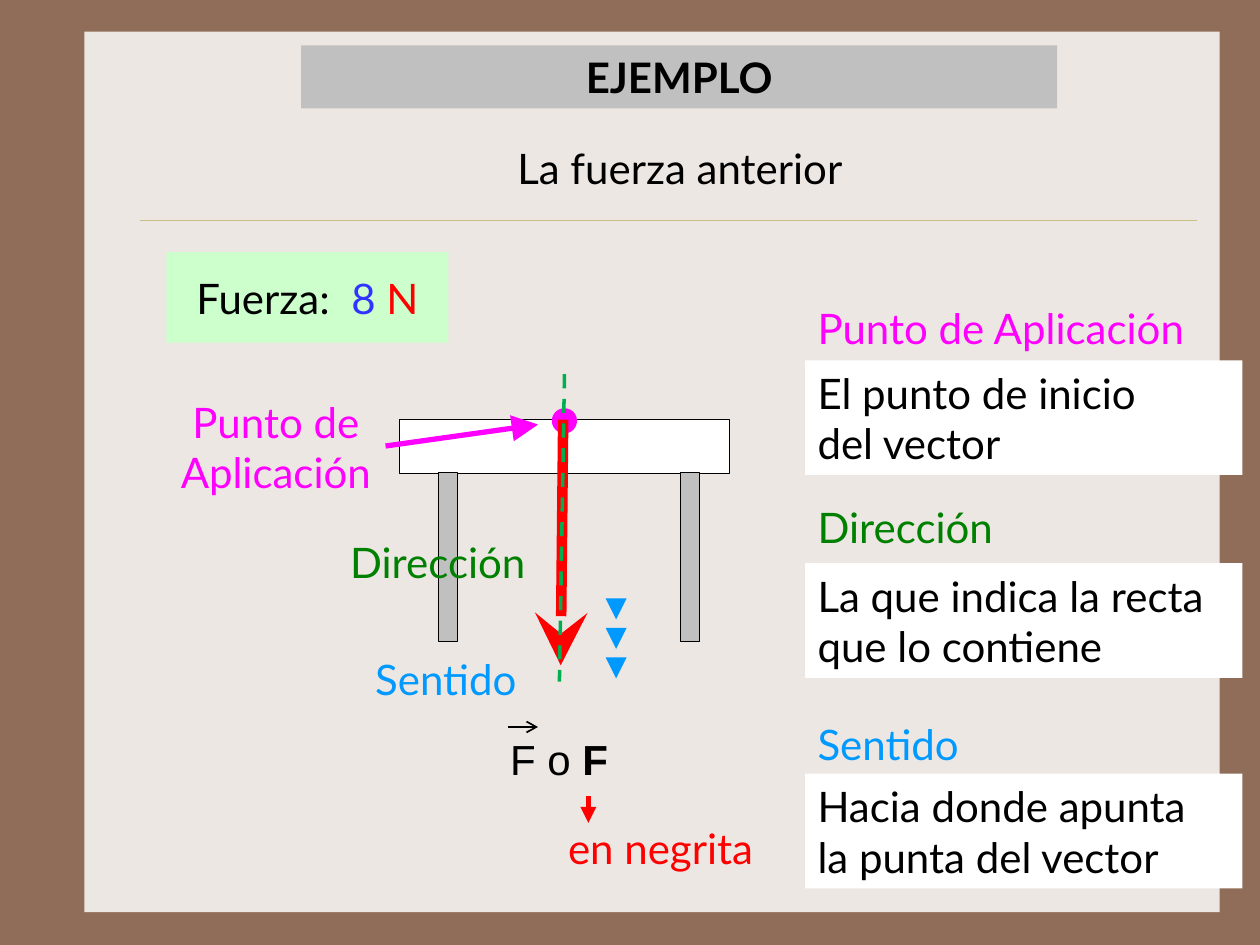
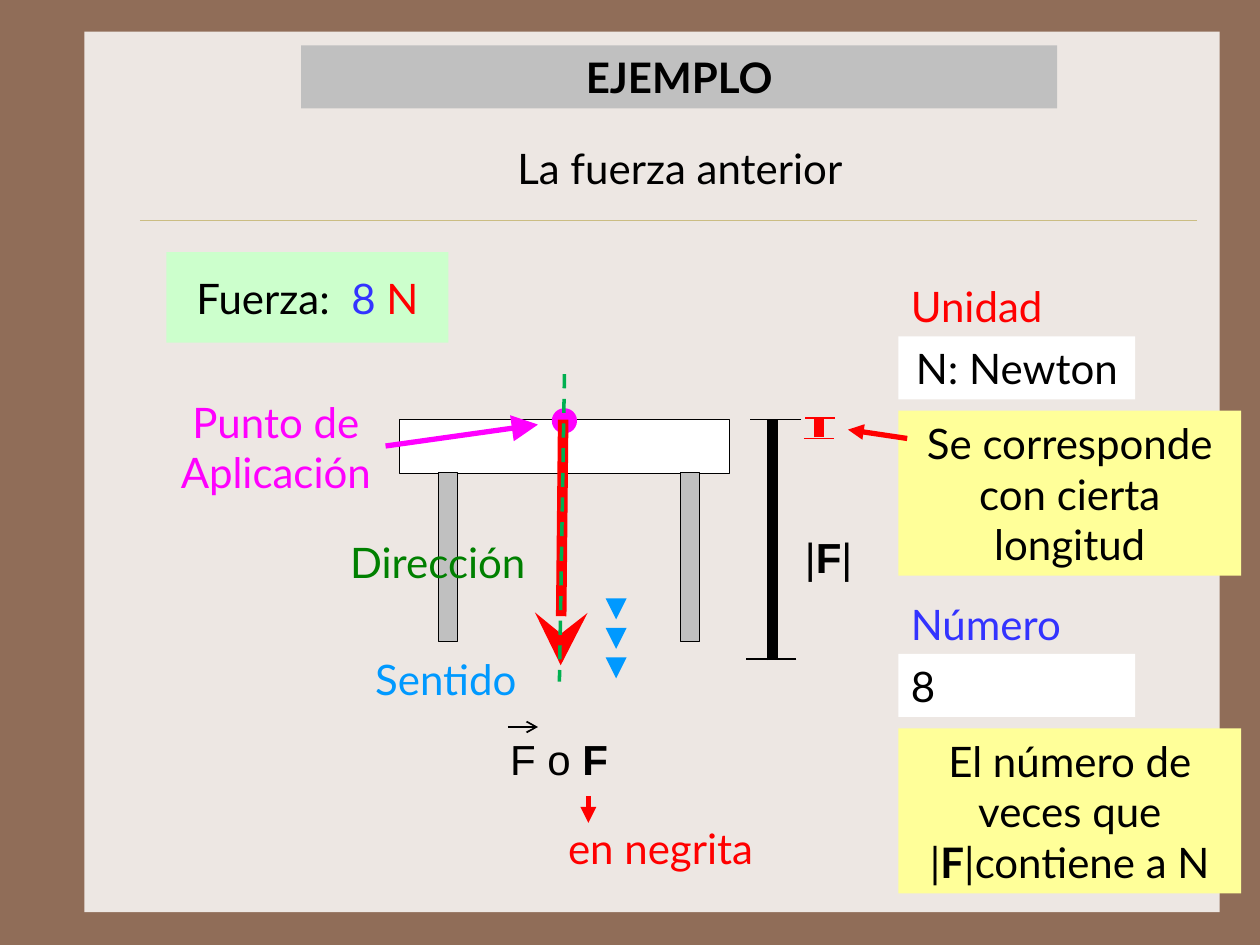
from lxml.etree import SubElement
from pptx import Presentation
from pptx.dml.color import RGBColor
from pptx.enum.dml import MSO_LINE
from pptx.enum.shapes import MSO_CONNECTOR, MSO_SHAPE
from pptx.enum.text import MSO_ANCHOR, MSO_AUTO_SIZE, PP_ALIGN
from pptx.oxml.ns import qn
from pptx.util import Inches, Pt

COLORS = {
    "frame": "906D58", "panel": "EDE7E3", "rule": "CBBD83",
    "black": "000000", "white": "FFFFFF", "gray": "C0C0C0",
    "magenta": "FF00FF", "red": "FF0000", "green": "008000",
    "axis": "00B050", "sky": "0099FF", "blue": "3333FF",
    "mint": "CCFFCC", "yellow": "FFFF99",
}
RGB = {name: RGBColor.from_string(value) for name, value in COLORS.items()}
LEFT, CENTER = PP_ALIGN.LEFT, PP_ALIGN.CENTER


def add_box(slide, place, paragraphs=(), fill=None, outline=None, align=LEFT,
            font="Lato", wrap=True, kind=MSO_SHAPE.RECTANGLE):
    """Add a box; each paragraph is a list of (text, color, bold) runs."""
    bounds = [Inches(value) for value in place]
    if fill:
        box = slide.shapes.add_shape(kind, *bounds)
        box.shadow.inherit = False
        box.fill.solid()
        box.fill.fore_color.rgb = RGB[fill]
        if outline:
            box.line.color.rgb = RGB[outline]
            box.line.width = Pt(0.75)
        else:
            box.line.fill.background()
    else:
        box = slide.shapes.add_textbox(*bounds)
    frame = box.text_frame
    frame.word_wrap = wrap
    frame.vertical_anchor = MSO_ANCHOR.MIDDLE
    for index, runs in enumerate(paragraphs):
        paragraph = frame.add_paragraph() if index else frame.paragraphs[0]
        paragraph.alignment = align
        for text, color, bold in runs:
            run = paragraph.add_run()
            run.text = text
            run.font.name = font
            run.font.size = Pt(24)
            run.font.bold = bold
            run.font.color.rgb = RGB[color]


def add_line(slide, start, end, color, width, head=None, head_size="med", dash=None):
    line = slide.shapes.add_connector(
        MSO_CONNECTOR.STRAIGHT, *[Inches(value) for value in (*start, *end)])
    line.line.color.rgb = RGB[color]
    line.line.width = Pt(width)
    if dash:
        line.line.dash_style = dash
    if head:
        SubElement(line.line._get_or_add_ln(), qn("a:tailEnd"),
                   type=head, w=head_size, len=head_size)
    SubElement(line._element.spPr, qn("a:effectLst"))


prs = Presentation()
prs.slide_width, prs.slide_height = Inches(10), Inches(7.5)
background = prs.slide_master.background.fill
background.solid()
background.fore_color.rgb = RGB["frame"]
title_only = prs.slide_layouts[5]
vector_slide, modulus_slide = [prs.slides.add_slide(title_only) for _ in range(2)]

# Shared on both slides
for slide in (vector_slide, modulus_slide):
    # Panel and rule
    add_box(slide, (0.67, 0.25, 9.01, 6.99), fill="panel")
    add_line(slide, (1.11, 1.75), (9.5, 1.75), "rule", 0.25)

    # Title band, brought in front of the panel
    title = slide.shapes.title
    slide.shapes._spTree.append(title._element)
    title.left, title.top = Inches(2.39), Inches(0.36)
    title.width, title.height = Inches(6), Inches(0.5)
    title.fill.solid()
    title.fill.fore_color.rgb = RGB["gray"]
    title.text_frame.auto_size = MSO_AUTO_SIZE.NONE
    title.text_frame.vertical_anchor = MSO_ANCHOR.MIDDLE
    heading = title.text_frame.paragraphs[0]
    heading.alignment = CENTER
    word = heading.add_run()
    word.text = "EJEMPLO"
    word.font.name, word.font.size, word.font.bold = "Lato", Pt(24), True
    word.font.color.rgb = RGB["black"]
    add_box(slide, (3.84, 1.08, 3.11, 0.5),
            [[("La fuerza anterior", "black", False)]], align=CENTER)

    # Force value
    add_box(slide, (1.32, 2, 2.24, 0.72),
            [[("Fuerza: ", "black", False), (" 8 ", "blue", False),
              ("N", "red", False)]], fill="mint", align=CENTER)

    # Table
    add_box(slide, (3.17, 3.33, 2.62, 0.43), fill="white", outline="black")
    for leg_left in (3.48, 5.4):
        add_box(slide, (leg_left, 3.75, 0.15, 1.34), fill="gray", outline="black")

    # Application point
    add_box(slide, (4.38, 3.24, 0.2, 0.2), fill="magenta", kind=MSO_SHAPE.OVAL)
    add_box(slide, (1.31, 3.09, 1.76, 0.91),
            [[("Punto de", "magenta", False)], [("Aplicación", "magenta", False)]],
            align=CENTER, wrap=False)
    add_line(slide, (3.06, 3.54), (4.27, 3.37), "magenta", 3, "triangle", "lg")

    # Force vector, its direction and its sense
    add_line(slide, (4.47, 3.33), (4.45, 5.28), "red", 6, "stealth", "lg")
    add_box(slide, (2.68, 4.21, 1.61, 0.5), [[("Dirección", "green", False)]],
            wrap=False)
    add_line(slide, (4.48, 2.97), (4.44, 5.41), "axis", 2, dash=MSO_LINE.DASH)
    add_box(slide, (2.88, 5.14, 1.33, 0.5), [[("Sentido", "sky", False)]],
            wrap=False)
    for step in range(3):
        top = 4.76 + 0.235 * step
        add_line(slide, (4.89, top), (4.89, top + 0.155), "sky", 4, "triangle")

    # Vector notation
    add_box(slide, (3.95, 5.77, 1.3, 0.5),
            [[("F o ", "black", False), ("F", "black", True)]], font="Arial")
    add_line(slide, (4.03, 5.77), (4.27, 5.77), "black", 1, "arrow")
    add_line(slide, (4.67, 6.32), (4.67, 6.53), "red", 3, "triangle")
    add_box(slide, (4.41, 6.48, 1.75, 0.5), [[("en negrita", "red", False)]],
            wrap=False)

# Slide 1: definitions of point, direction and sense
definitions = [
    ("Punto de Aplicación", "magenta", 2.35, 2.86,
     ["El punto de inicio", "del vector"]),
    ("Dirección", "green", 3.93, 4.47,
     ["La que indica la recta que lo contiene"]),
    ("Sentido", "sky", 5.65, 6.14,
     ["Hacia donde apunta", "la punta del vector"]),
]
for term, color, term_top, meaning_top, meaning in definitions:
    add_box(vector_slide, (6.39, term_top, 3.39, 0.5), [[(term, color, False)]])
    add_box(vector_slide, (6.39, meaning_top, 3.47, 0.91),
            [[(text, "black", False)] for text in meaning], fill="white")

# Slide 2: unit and number
quantities = [
    ("Unidad", "red", 2.18, "N: Newton", CENTER, 3.26,
     [[("Se corresponde con cierta longitud", "black", False)]]),
    ("Número", "blue", 4.7, "8", LEFT, 5.78,
     [[("El número de veces que", "black", False)],
      [("|", "black", False), ("F", "black", True),
       ("|contiene a N", "black", False)]]),
]
for term, color, top, value, align, note_top, note in quantities:
    add_box(modulus_slide, (7.13, top, 1.41, 0.5), [[(term, color, False)]])
    add_box(modulus_slide, (7.13, top + 0.49, 1.88, 0.5),
            [[(value, "black", False)]], fill="white", align=align)
    add_box(modulus_slide, (7.13, note_top, 2.72, 1.31), note,
            fill="yellow", align=CENTER)

# Slide 2: unit length with its pointer
add_line(modulus_slide, (6.5, 3.47), (6.5, 3.32), "red", 6)
add_line(modulus_slide, (6.39, 3.32), (6.63, 3.32), "red", 1)
add_line(modulus_slide, (6.38, 3.48), (6.62, 3.48), "red", 1)
add_line(modulus_slide, (7.2, 3.48), (6.73, 3.41), "red", 3, "triangle")

# Slide 2: modulus length
add_box(modulus_slide, (6.29, 4.17, 0.8, 0.5),
        [[("|", "black", False), ("F", "black", True), ("|", "black", False)]],
        font="Arial")
add_line(modulus_slide, (6.13, 5.24), (6.13, 3.33), "black", 6)
add_line(modulus_slide, (6.36, 3.33), (5.95, 3.33), "black", 1)
add_line(modulus_slide, (6.32, 5.23), (5.92, 5.23), "black", 1)

prs.save("out.pptx")
